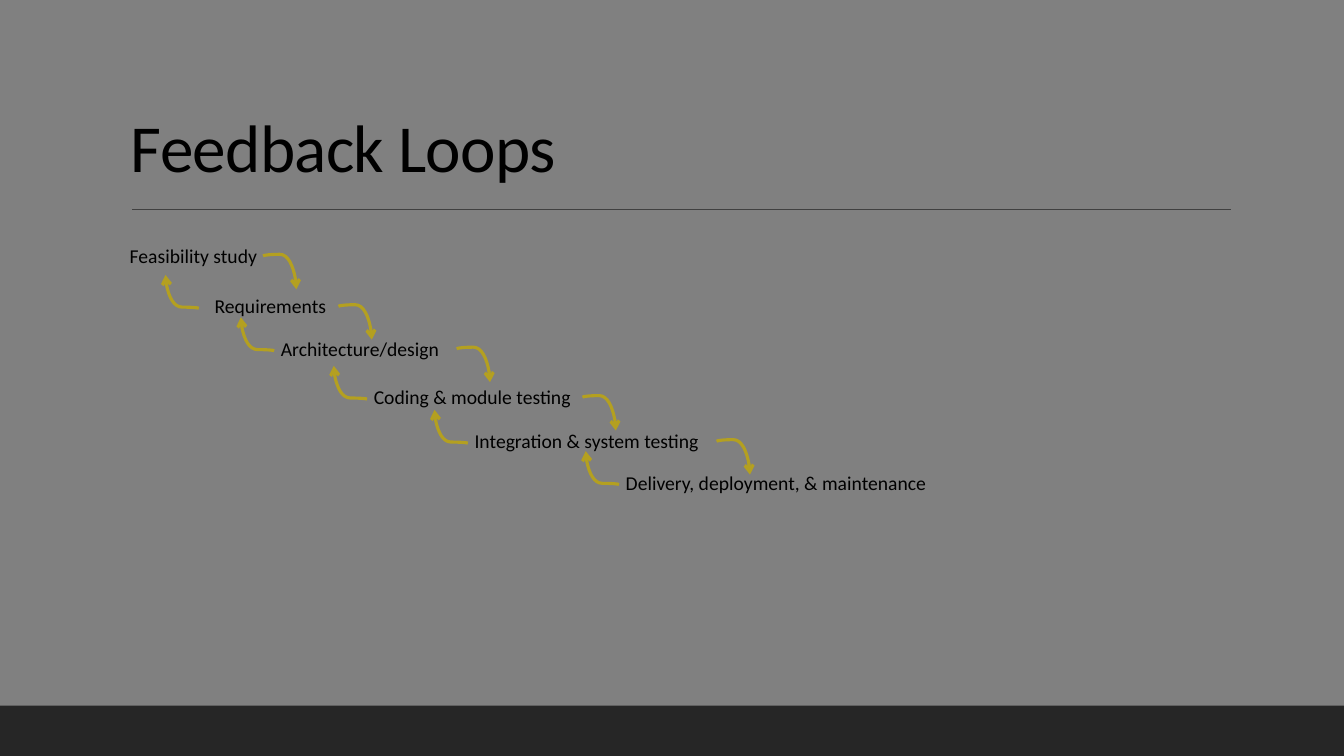
from pptx import Presentation
from pptx import util as u
from pptx.dml.color import RGBColor
from pptx.enum import shapes, text
from pptx.oxml.ns import qn
from lxml import etree


def color(value):
    return RGBColor.from_string(value)


class Deck:
    """Holds the style and the current slide, and draws each kind of element."""

    font = "Calibri"
    ink = "000000"
    loop_color = "B4A020"
    loop_size = 0.84

    def __init__(self):
        self.presentation = Presentation()
        self.presentation.slide_width = u.Cm(33.87)
        self.presentation.slide_height = u.Cm(19.05)
        self.slide = self.presentation.slides.add_slide(self.presentation.slide_layouts[6])

    def background(self, fill):
        self.slide.background.fill.solid()
        self.slide.background.fill.fore_color.rgb = color(fill)

    def band(self, left, top, width, height, fill):
        band = self.slide.shapes.add_shape(
            shapes.MSO_SHAPE.RECTANGLE, u.Cm(left), u.Cm(top), u.Cm(width), u.Cm(height))
        band.shadow.inherit = False
        band.fill.solid()
        band.fill.fore_color.rgb = color(fill)
        band.line.fill.background()

    def label(self, wording, left, top, width, height, size=14,
              anchor=text.MSO_ANCHOR.TOP, line_spacing=None, tracking=None):
        box = self.slide.shapes.add_textbox(u.Cm(left), u.Cm(top), u.Cm(width), u.Cm(height))
        frame = box.text_frame
        frame.word_wrap = True
        frame.vertical_anchor = anchor
        paragraph = frame.paragraphs[0]
        paragraph.line_spacing = line_spacing
        run = paragraph.add_run()
        run.text = wording
        run.font.name = self.font
        run.font.size = u.Pt(size)
        run.font.color.rgb = color(self.ink)
        if tracking is not None:
            run.font._element.set("spc", str(tracking))

    def line(self, kind, start, end, stroke, weight):
        line = self.slide.shapes.add_connector(kind, *(u.Cm(v) for v in (*start, *end)))
        line.line.color.rgb = color(stroke)
        line.line.width = u.Pt(weight)
        etree.SubElement(line._element.spPr, qn("a:effectLst"))
        return line

    def loop(self, left, top, flip, bend):
        end = (left + self.loop_size, top + self.loop_size)
        arrow = self.line(shapes.MSO_CONNECTOR.CURVE, (left, top), end, self.loop_color, 2.25)
        properties = arrow._element.spPr
        properties.xfrm.set("rot", str(270 * 60000))
        properties.xfrm.set(flip, "1")
        guides = properties.find(qn("a:prstGeom")).get_or_add_avLst()
        etree.SubElement(guides, qn("a:gd"), name="adj1", fmla=f"val {bend}")
        etree.SubElement(arrow.line._get_or_add_ln(), qn("a:tailEnd"), type="arrow")


def main():
    deck = Deck()
    deck.background("808080")
    deck.band(0, 17.78, 33.87, 1.27, "262626")
    deck.line(shapes.MSO_CONNECTOR.STRAIGHT, (3.33, 5.28), (31.01, 5.28), "404040", 1)
    deck.label("Feedback Loops", 3.05, 0.79, 27.94, 4.04, size=48,
               anchor=text.MSO_ANCHOR.BOTTOM, line_spacing=0.9, tracking=-50)

    phases = [
        ("Feasibility study", 3.02, 6.02, 4.65),
        ("Requirements", 5.16, 7.29, 4.65),
        ("Architecture/design", 6.83, 8.36, 6.78),
        ("Coding & module testing", 9.17, 9.58, 6.78),
        ("Integration & system testing", 11.71, 10.69, 6.78),
        ("Delivery, deployment, & maintenance", 15.52, 11.73, 9.09),
    ]
    forward_lefts = [6.63, 8.53, 11.51, 14.68, 18.06]
    feedback_lefts = [4.17, 6.07, 8.41, 10.95, 14.76]

    for phase, left, top, width in phases:
        deck.label(phase, left, top, width, 0.86)
    for left, (_, _, phase_top, _) in zip(forward_lefts, phases):
        deck.loop(left, phase_top + 0.43, "flipH", -4900)
    for left, (_, _, phase_top, _) in zip(feedback_lefts, phases[1:]):
        deck.loop(left, phase_top - 0.36, "flipV", 3500)

    deck.presentation.save("out.pptx")


if __name__ == "__main__":
    main()
